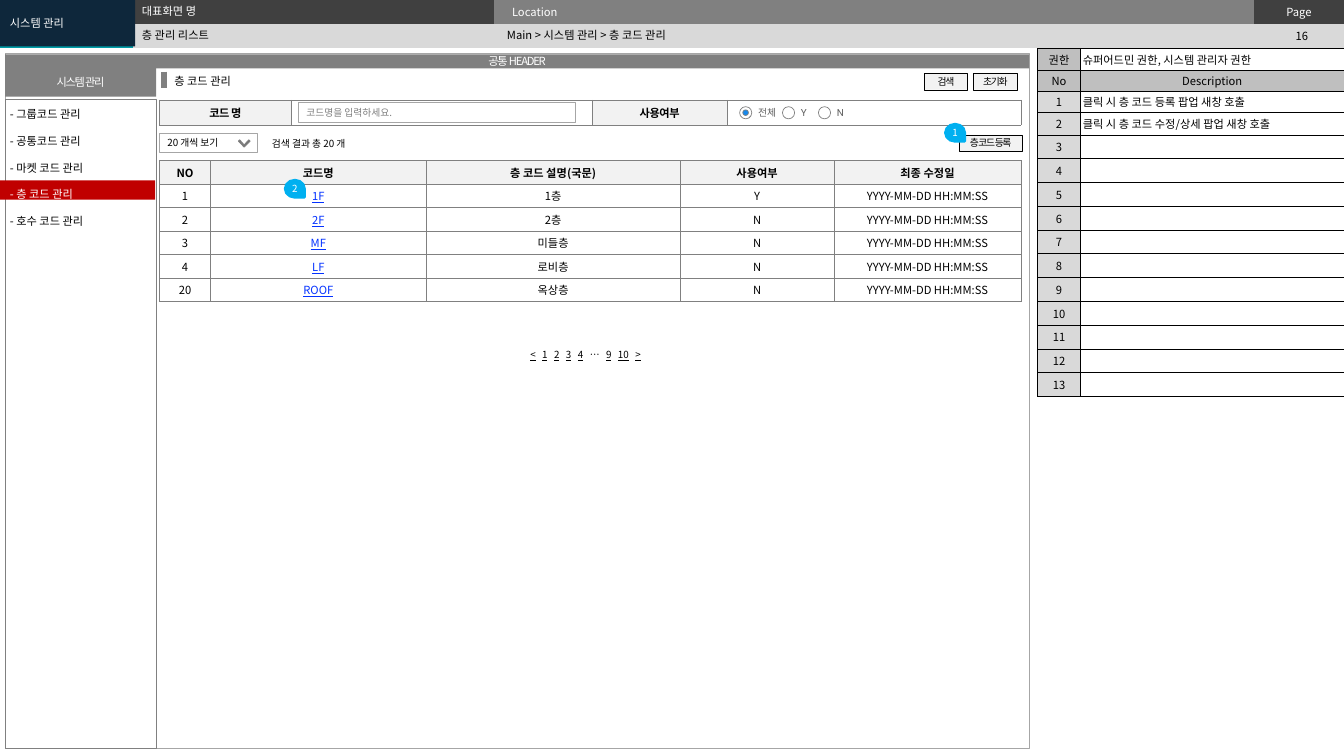
from dataclasses import dataclass

from lxml import etree
from pptx import Presentation
from pptx.dml.color import RGBColor
from pptx.enum.shapes import MSO_CONNECTOR, MSO_SHAPE
from pptx.enum.text import MSO_ANCHOR, PP_ALIGN
from pptx.oxml.ns import qn
from pptx.util import Pt

RECT, OVAL, TEAR = MSO_SHAPE.RECTANGLE, MSO_SHAPE.OVAL, MSO_SHAPE.TEAR
STRAIGHT = MSO_CONNECTOR.STRAIGHT
LEFT, CENTER = PP_ALIGN.LEFT, PP_ALIGN.CENTER
TOP, MIDDLE = MSO_ANCHOR.TOP, MSO_ANCHOR.MIDDLE
SANS, ROBOTO = "Noto Sans CJK KR", "Roboto"
BLACK, WHITE, GRAY, DARK, SILVER = "000000", "FFFFFF", "808080", "404040", "A6A6A6"
PALE, LIGHT, MID, BLUE, SKY = "F2F2F2", "D9D9D9", "BFBFBF", "0432FF", "00B0F0"


@dataclass(frozen=True)
class Style:
    size: float = 8
    color: str = BLACK
    name: str = SANS
    bold: bool = False
    underline: bool = False
    spacing: float = 0


@dataclass(frozen=True)
class Box:
    x: float
    y: float
    w: float
    h: float
    text: str = ""
    style: Style = Style()
    fill: str | None = None
    line: str | None = None
    weight: float = 0.25
    align: PP_ALIGN = LEFT
    anchor: MSO_ANCHOR = MIDDLE
    inset: tuple[float, float] = (7.2, 3.6)
    wrap: bool = True
    shape: MSO_SHAPE | None = None


@dataclass(frozen=True)
class Cell:
    text: str = ""
    fill: str | None = None
    style: Style = Style()
    align: PP_ALIGN = CENTER


@dataclass(frozen=True)
class Radio:
    label: str
    x: float
    w: float
    selected: bool = False


def rgb(value: str) -> RGBColor:
    return RGBColor.from_string(value)


def set_font(p, style: Style) -> None:
    f = p.font
    f.size, f.bold, f.underline = Pt(style.size), style.bold, style.underline
    f.color.rgb = rgb(style.color)
    f.name = style.name
    props = p._p.pPr.find(qn("a:defRPr"))
    etree.SubElement(props, qn("a:ea")).set("typeface", style.name)
    if style.spacing:
        props.set("spc", str(round(style.spacing * 100)))


def paint(sp, fill: str | None, line: str | None, weight: float) -> None:
    if fill:
        sp.fill.solid()
        sp.fill.fore_color.rgb = rgb(fill)
    else:
        sp.fill.background()
    if line:
        sp.line.color.rgb = rgb(line)
        sp.line.width = Pt(weight)
    else:
        sp.line.fill.background()


def add_box(s, box: Box):
    place = Pt(box.x), Pt(box.y), Pt(box.w), Pt(box.h)
    if box.shape is None:
        sp = s.shapes.add_textbox(*place)
    else:
        sp = s.shapes.add_shape(box.shape, *place)
        sp.shadow.inherit = False
        paint(sp, box.fill, box.line, box.weight)
    tf = sp.text_frame
    tf.word_wrap, tf.vertical_anchor = box.wrap, box.anchor
    tf.margin_left = tf.margin_right = Pt(box.inset[0])
    tf.margin_top = tf.margin_bottom = Pt(box.inset[1])
    if box.text:
        tf.text = box.text
        for p in tf.paragraphs:
            p.alignment = box.align
            set_font(p, box.style)
    return sp


def set_borders(cell, color: str | None, weight: float) -> None:
    tc_pr = cell._tc.get_or_add_tcPr()
    for i, side in enumerate(("lnL", "lnR", "lnT", "lnB")):
        ln = etree.Element(qn(f"a:{side}"), w=str(int(Pt(weight))))
        if color:
            fill = etree.SubElement(ln, qn("a:solidFill"))
            etree.SubElement(fill, qn("a:srgbClr")).set("val", color)
        else:
            etree.SubElement(ln, qn("a:noFill"))
        tc_pr.insert(i, ln)


def add_grid(s, x: float, y: float, cols: list[float], heights: list[float],
             rows: list[list[Cell]], inset: tuple[float, float],
             border: str | None = None, weight: float = 0.25):
    frame = s.shapes.add_table(len(heights), len(cols), Pt(x), Pt(y),
                               Pt(sum(cols)), Pt(sum(heights)))
    table = frame.table
    table.first_row = table.horz_banding = False
    for col, width in zip(table.columns, cols):
        col.width = Pt(width)
    for row, height, cells in zip(table.rows, heights, rows):
        row.height = Pt(height)
        for cell, data in zip(row.cells, cells):
            cell.margin_left = cell.margin_right = Pt(inset[0])
            cell.margin_top = cell.margin_bottom = Pt(inset[1])
            cell.vertical_anchor = MIDDLE
            if data.fill:
                cell.fill.solid()
                cell.fill.fore_color.rgb = rgb(data.fill)
            else:
                cell.fill.background()
            p = cell.text_frame.paragraphs[0]
            if data.text:
                p.text = data.text
            else:
                etree.SubElement(p._p, qn("a:endParaRPr")).set("sz", "800")
            p.alignment = data.align
            set_font(p, data.style)
            set_borders(cell, border, weight)
    return table


def add_radio(s, radio: Radio) -> None:
    add_box(s, Box(radio.x, 76.2, 8.7, 8.7, fill=WHITE, line=GRAY, weight=0.5, shape=OVAL))
    if radio.selected:
        add_box(s, Box(radio.x + 2.3, 78.5, 4, 4, fill="1588EC", line=GRAY, weight=0.5, shape=OVAL))
    add_box(s, Box(radio.x + 7.5, 73.4, radio.w, 14.4, radio.label,
                   Style(7, "5F5F5F", ROBOTO), inset=(5.76, 2.88), wrap=False))


def add_callout(s, number: str, x: float, y: float) -> None:
    sp = add_box(s, Box(x, y, 12.2, 13.7, number, Style(7, WHITE), SKY, SKY, 2,
                        CENTER, inset=(0, 0), shape=TEAR))
    sp.rotation = 90
    sp.text_frame._txBody.bodyPr.set("vert", "vert270")


def add_pager(s) -> None:
    sp = add_box(s, Box(373, 246.2, 104.4, 14.4, anchor=TOP, inset=(5.76, 2.88), wrap=False))
    p = sp.text_frame.paragraphs[0]
    set_font(p, Style(7))
    for i, label in enumerate("< 1 2 3 4 … 9 10 >".split()):
        if i:
            gap = p.add_run()
            gap.text = " "
            gap._r.get_or_add_rPr().set("spc", "310")
        r = p.add_run()
        r.text = label
        r.font.underline = label != "…"


def main() -> None:
    prs = Presentation()
    prs.slide_width, prs.slide_height = Pt(960), Pt(540)
    s = prs.slides.add_slide(prs.slide_layouts[6])
    white, bold, tight = Style(color=WHITE), Style(bold=True), Style(7, spacing=-0.9)
    tight_white = Style(color=WHITE, spacing=-0.9)

    header = add_grid(s, 0, 0, [95, 257.8, 543, 64.2], [17.1] * 2, [
        [Cell(fill="009CA6"), Cell(fill=DARK), Cell("Location", GRAY, white, LEFT),
         Cell("Page", DARK, white)],
        [Cell(fill="009CA6")] + [Cell(fill=LIGHT)] * 3], (12.96, 2))
    header.cell(0, 0).merge(header.cell(1, 0))

    for box in (
        Box(898.6, 17.3, 62.6, 17.3, "16", align=CENTER),
        Box(3.6, 38.2, 731.5, 496.1, line=SILVER, shape=RECT),
        Box(94.3, 17.3, 261.4, 15.8, "층 관리 리스트"),
        Box(355, 16.6, 531.4, 17.3, "Main > 시스템 관리 > 층 코드 관리"),
        Box(94.3, 0, 260.6, 15.8, "대표화면 명", white),
        Box(0, 0, 96.5, 33.1, "시스템 관리", white, "0E273B", shape=RECT),
        Box(3.6, 38.9, 731.5, 10, "공통 HEADER", tight_white, GRAY, align=CENTER, shape=RECT),
        Box(3.6, 48.2, 108, 20.9, "시스템 관리", tight_white, GRAY, align=CENTER, shape=RECT),
        Box(3.6, 70.6, 108, 463.7, line=GRAY, shape=RECT),
        Box(117.4, 49, 173.5, 17.3, "층 코드 관리"),
    ):
        add_box(s, box)

    mark = s.shapes.add_connector(STRAIGHT, Pt(117.4), Pt(51.1), Pt(117.4), Pt(62.6))
    mark.line.color.rgb, mark.line.width = rgb(GRAY), Pt(4.5)
    etree.SubElement(mark._element.spPr, qn("a:effectLst"))

    field = Style(bold=True, spacing=-0.3)
    add_grid(s, 114, 71.5, [94, 215, 96.5, 210], [18], [
        [Cell("코드 명", PALE, field), Cell(fill=WHITE),
         Cell("사용여부", PALE, field), Cell(fill=WHITE)]], (7.2, 2), GRAY)

    for label, x, y, w in (("초기화", 695.5, 52.4, 31), ("검색", 660.2, 52.4, 31),
                           ("층 코드 등록", 684.9, 96.3, 45.4)):
        add_box(s, Box(x, y, w, 11.7, label, tight, PALE, BLACK, align=CENTER,
                       inset=(0, 0), shape=RECT))

    link = Style(color=BLUE, underline=True)
    titles = ["NO", "코드명", "층 코드 설명(국문)", "사용여부", "최종 수정일"]
    floors = [("1", "1F", "1층", "Y"), ("2", "2F", "2층", "N"), ("3", "MF", "미들층", "N"),
              ("4", "LF", "로비층", "N"), ("20", "ROOF", "옥상층", "N")]
    add_grid(s, 114, 114.6, [36.4, 154, 181.5, 110, 133.5], [16.8] * 6,
             [[Cell(title, PALE, bold) for title in titles]]
             + [[Cell(no, WHITE), Cell(code, WHITE, link), Cell(name, WHITE), Cell(used, WHITE),
                 Cell("YYYY-MM-DD HH:MM:SS", WHITE)] for no, code, name, used in floors],
             (7.2, 2), GRAY)

    add_pager(s)

    notes = ["클릭 시 층 코드 등록 팝업 새창 호출", "클릭 시 층 코드 수정/상세 팝업 새창 호출"]
    notes += [""] * 11
    add_grid(s, 741, 34.8, [31, 188], [15.2] * 3 + [16] + [17] * 11,
             [[Cell("권한", MID), Cell("슈퍼어드민 권한, 시스템 관리자 권한", align=LEFT)],
              [Cell("No", MID), Cell("Description", MID)]]
             + [[Cell(str(i), LIGHT), Cell(note, align=LEFT)] for i, note in enumerate(notes, 1)],
             (1.44, 1), BLACK, 0.5)

    small = (5.76, 2.88)
    add_box(s, Box(187.2, 94.3, 71.3, 15.8, "검색 결과 총 20 개", Style(7), wrap=False))
    add_box(s, Box(113.8, 95, 69.8, 13.7, "20 개씩 보기", Style(7), WHITE, SILVER, 0.5,
                   inset=small, shape=RECT))
    chevron = s.shapes.build_freeform(Pt(178.6), Pt(100.8))
    chevron.add_line_segments([(Pt(x), Pt(y)) for x, y in (
        (177.8, 100), (174.4, 103.6), (171.2, 100), (170.4, 100.8), (174.4, 105))])
    arrow = chevron.convert_to_shape()
    arrow.shadow.inherit = False
    paint(arrow, "5F5F5F", GRAY, 0.75)
    add_box(s, Box(213.1, 73.4, 198, 14.4, "코드명을 입력하세요.", Style(7, GRAY), WHITE, SILVER, 0.5,
                   inset=small, shape=RECT))

    for radio in (Radio("전체", 528.3, 25.2, True), Radio("Y", 558.9, 15.8),
                  Radio("N", 584.6, 17.3)):
        add_radio(s, radio)
    add_callout(s, "1", 676.1, 88)
    add_callout(s, "2", 204.5, 128)

    add_box(s, Box(-8.6, 128.9, 119.5, 13.7, fill="C00000", shape=RECT))
    items = ["그룹코드 관리", "공통코드 관리", "마켓 코드 관리", "층 코드 관리", "호수 코드 관리"]
    menu = add_box(s, Box(0, 63.4, 103.7, 101.5, "\n".join(f"- {item}" for item in items), anchor=TOP))
    for p in menu.text_frame.paragraphs:
        p.line_spacing = Pt(19.2)
    menu.text_frame.paragraphs[3].font.color.rgb = rgb(WHITE)
    prs.save("out.pptx")


if __name__ == "__main__":
    main()
